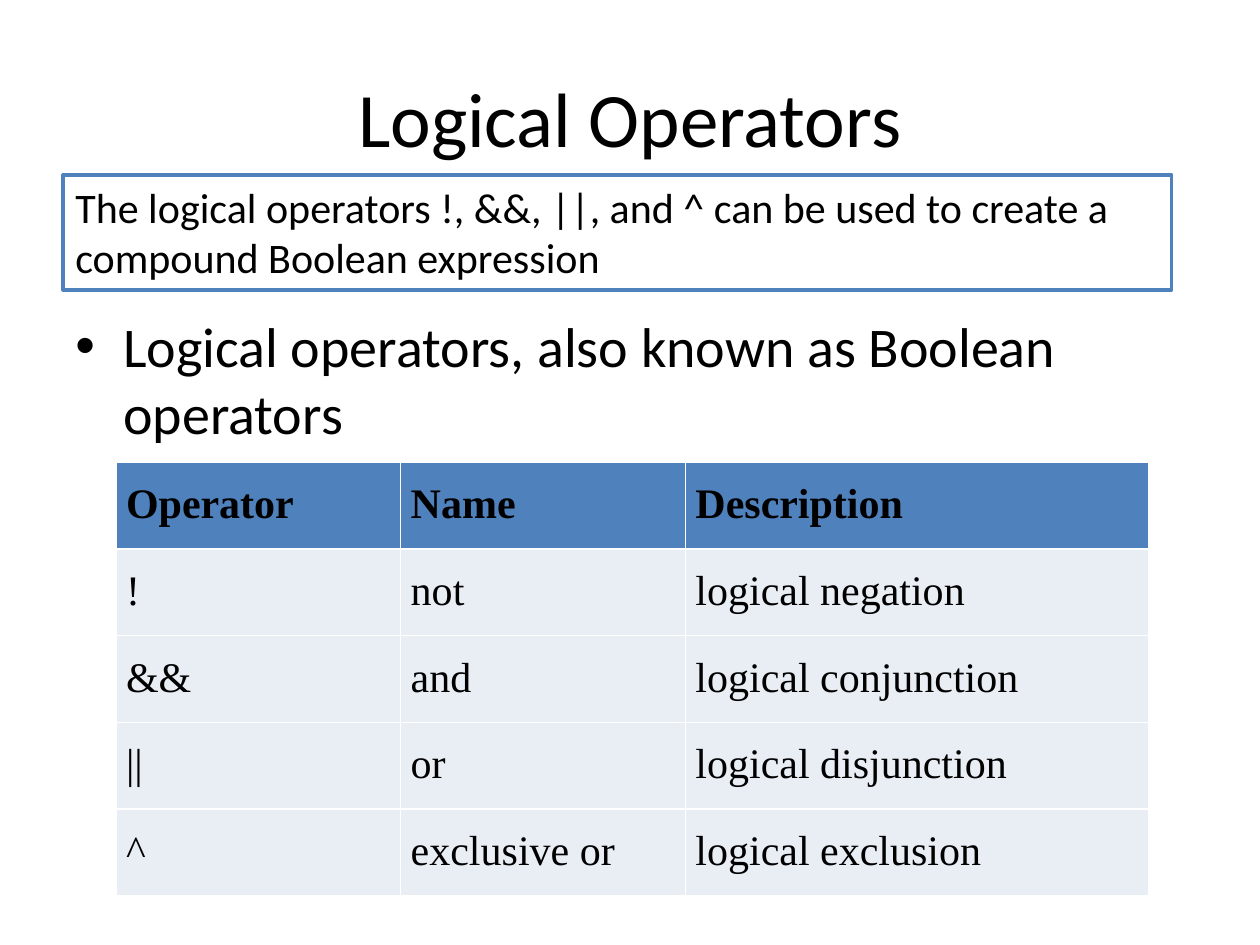
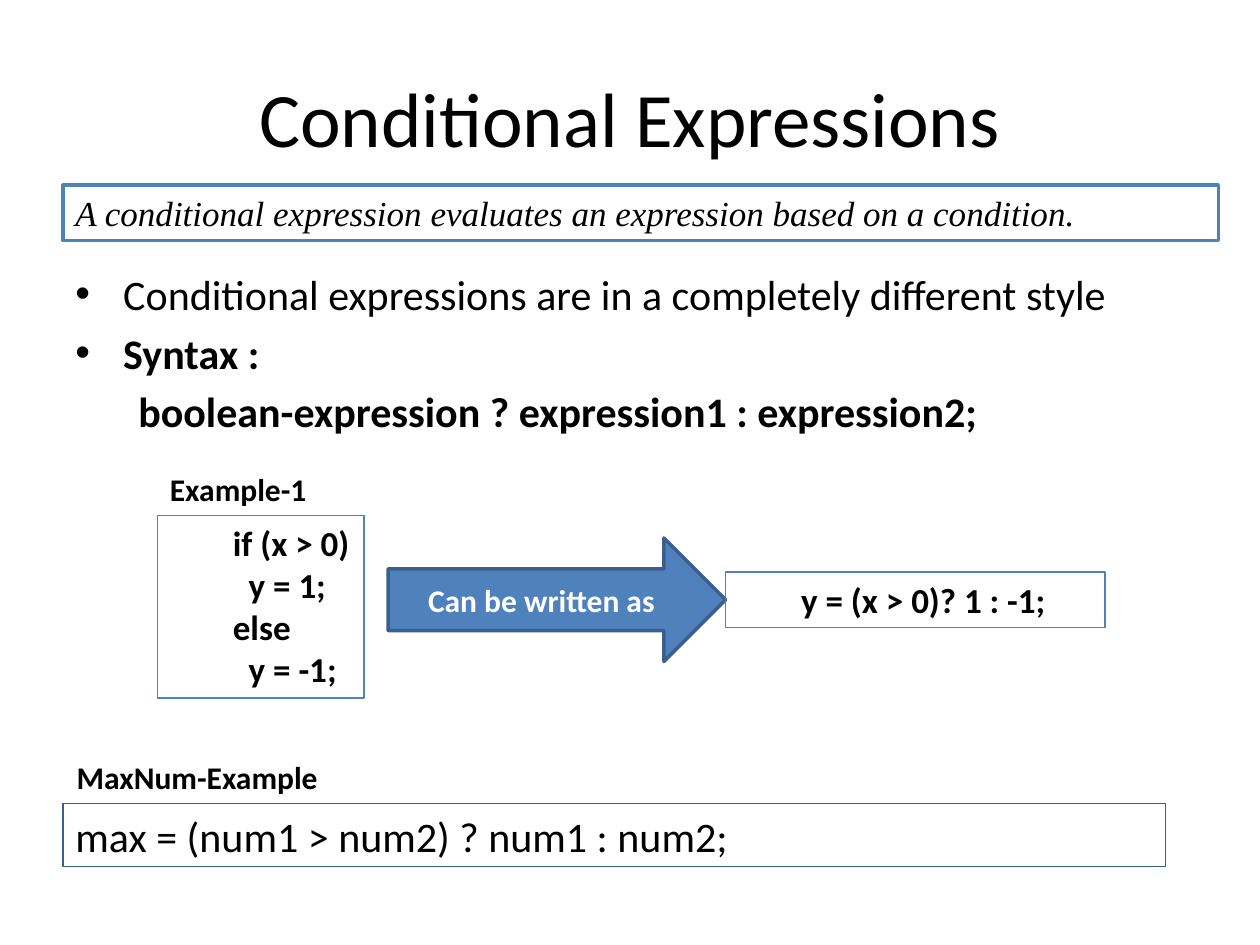
"""Builds two slides on logical operators and conditional expressions."""
from pptx import Presentation
from pptx import util as u
from pptx.dml import color
from pptx.enum import shapes, text
from pptx.oxml import xmlchemy, ns

COLOURS = {
    "black": "000000", "white": "FFFFFF", "blue": "4F81BD",
    "arrow edge": "3A5F8C", "dark blue": "376092", "pale": "E9EDF4",
}
SANS, SERIF = "Calibri", "Times New Roman"
HANG = 0.38
CODE_INDENT = 0.5
OPERATORS = [
    ("Operator", "Name", "Description"),
    ("!", "not", "logical negation"),
    ("&&", "and", "logical conjunction"),
    ("||", "or", "logical disjunction"),
    ("^", "exclusive or", "logical exclusion"),
]


def rgb(name):
    """Return the named colour."""
    return color.RGBColor.from_string(COLOURS[name])


def add_xml(parent, tag, **attributes):
    """Append a drawing element with attributes and return it."""
    child = parent.makeelement(ns.qn(tag), attributes)
    parent.append(child)
    return child


def write(para, words, size=24, font=SANS, colour="black", bold=False,
          italic=False, align=text.PP_ALIGN.LEFT, indent=0, bullet=False,
          before=0, spacing=None):
    """Write one formatted paragraph."""
    para.alignment = align
    para.space_before = u.Pt(before)
    if spacing:
        para.line_spacing = spacing
    props = para._p.get_or_add_pPr()
    props.set("marL", str(u.Inches(indent)))
    props.set("indent", str(u.Inches(-indent if bullet else 0)))
    if bullet:
        add_xml(props, "a:buFont", typeface="Arial")
        add_xml(props, "a:buChar", char="•")
    span = para.add_run()
    span.text = words
    span.font.size = u.Pt(size)
    span.font.name = font
    span.font.bold = bold
    span.font.italic = italic
    span.font.color.rgb = rgb(colour)


def fill_frame(box, paras, wrap=True, grow=False,
               anchor=text.MSO_ANCHOR.TOP, **style):
    """Fill a box with strings or (string, format) pairs."""
    frame = box.text_frame
    frame.word_wrap = wrap
    frame.vertical_anchor = anchor
    frame.auto_size = (text.MSO_AUTO_SIZE.SHAPE_TO_FIT_TEXT if grow
                       else text.MSO_AUTO_SIZE.NONE)
    for index, item in enumerate(paras):
        words, extra = (item, {}) if isinstance(item, str) else item
        para = frame.add_paragraph() if index else frame.paragraphs[0]
        write(para, words, **{**style, **extra})


def add_text(parent, place, paras, **style):
    """Add a plain text box."""
    box = parent.shapes.add_textbox(*map(u.Inches, place))
    fill_frame(box, paras, **style)


def add_box(parent, place, paras, fill=None, line="blue", width=0.75,
            kind=shapes.MSO_SHAPE.RECTANGLE, grow=True, **style):
    """Add an outlined shape with text."""
    box = parent.shapes.add_shape(kind, *map(u.Inches, place))
    box.shadow.inherit = False
    if fill:
        box.fill.solid()
        box.fill.fore_color.rgb = rgb(fill)
    else:
        box.fill.background()
    box.line.color.rgb = rgb(line)
    box.line.width = u.Pt(width)
    fill_frame(box, paras, grow=grow, **style)


def add_page(deck, title):
    """Add a blank page with the shared title style."""
    page = deck.slides.add_slide(deck.slide_layouts[6])
    add_text(page, (0.5, 0.3, 9, 1.25), [title], size=44,
             align=text.PP_ALIGN.CENTER, anchor=text.MSO_ANCHOR.MIDDLE)
    return page


def add_label(parent, place, words):
    """Add a bold label above an example."""
    add_text(parent, place, [words], size=18, bold=True, wrap=False, grow=True)


def border_cell(cell):
    """Draw thin white borders on all sides of a cell."""
    props = cell._tc.get_or_add_tcPr()
    for side in ("a:lnL", "a:lnR", "a:lnT", "a:lnB"):
        edge = add_xml(props, side, w=str(u.Pt(1)))
        add_xml(add_xml(edge, "a:solidFill"), "a:srgbClr", val=COLOURS["white"])


def add_grid(page, place, rows, widths):
    """Add a table with a blue header row."""
    grid = page.shapes.add_table(len(rows), len(widths),
                                 *map(u.Inches, place)).table
    for column, width in zip(grid.columns, widths):
        column.width = u.Inches(width)
    for row_index, row in enumerate(rows):
        header = row_index == 0
        for column_index, words in enumerate(row):
            cell = grid.cell(row_index, column_index)
            cell.vertical_anchor = text.MSO_ANCHOR.MIDDLE
            cell.margin_left = cell.margin_right = u.Inches(0.08)
            cell.margin_top = cell.margin_bottom = 0
            border_cell(cell)
            cell.fill.solid()
            cell.fill.fore_color.rgb = rgb("blue" if header else "pale")
            write(cell.text_frame.paragraphs[0], words, font=SERIF,
                  bold=header, spacing=0.93)


def build_operators(deck):
    """Build the logical operators page."""
    page = add_page(deck, "Logical Operators")
    add_text(page, (0.5, 2.42, 9, 4.28),
             ["Logical operators, also known as Boolean operators"],
             size=32, indent=HANG, bullet=True)
    add_box(page, (0.5, 1.39, 8.8, 0.91),
            ["The logical operators !, &&, ||, and ^ can be used to create a "
             "compound Boolean expression"], fill="white", width=2)
    add_grid(page, (0.92, 3.67, 8.2, 3.44), OPERATORS, (2.26, 2.26, 3.68))


def build_conditionals(deck):
    """Build the conditional expressions page."""
    page = add_page(deck, "Conditional Expressions")
    point = {"indent": HANG, "bullet": True}
    add_text(page, (0.5, 2.08, 9.17, 1.72), [
        ("Conditional expressions are in a completely different style", point),
        ("Syntax :", {**point, "bold": True, "before": 4.8}),
        ("boolean-expression ? expression1 : expression2;",
         {"indent": CODE_INDENT, "bold": True, "before": 4.8}),
    ])
    add_box(page, (0.5, 1.47, 9.17, 0.44),
            ["A conditional expression evaluates an expression based on a "
             "condition."], fill="white", width=2, size=20, font=SERIF,
            italic=True)

    code = {"size": 20, "bold": True, "indent": CODE_INDENT}
    rewrite = page.shapes.add_group_shape()
    add_box(rewrite, (1.25, 4.09, 1.64, 1.45),
            ["if (x > 0)", "  y = 1;", "else", "  y = -1;"], wrap=False, **code)
    add_label(rewrite, (1.25, 3.68, 1.29, 0.4), "Example-1")
    add_box(rewrite, (3.08, 4.27, 2.68, 0.98), ["Can be written as"],
            kind=shapes.MSO_SHAPE.RIGHT_ARROW, fill="blue", line="arrow edge",
            width=2, grow=False, size=18, bold=True, colour="white",
            align=text.PP_ALIGN.CENTER, anchor=text.MSO_ANCHOR.MIDDLE)
    add_box(rewrite, (5.76, 4.54, 3.01, 0.44), ["y = (x > 0)? 1 : -1;"], **code)

    maximum = page.shapes.add_group_shape()
    add_box(maximum, (0.5, 6.38, 8.75, 0.5),
            ["max = (num1 > num2) ? num1 : num2;"], line="dark blue")
    add_label(maximum, (0.51, 5.97, 2.81, 0.4), "MaxNum-Example")


def main():
    """Build and save the deck."""
    deck = Presentation()
    deck.slide_width, deck.slide_height = u.Inches(10), u.Inches(7.5)
    build_operators(deck)
    build_conditionals(deck)
    deck.save("out.pptx")


if __name__ == "__main__":
    main()
